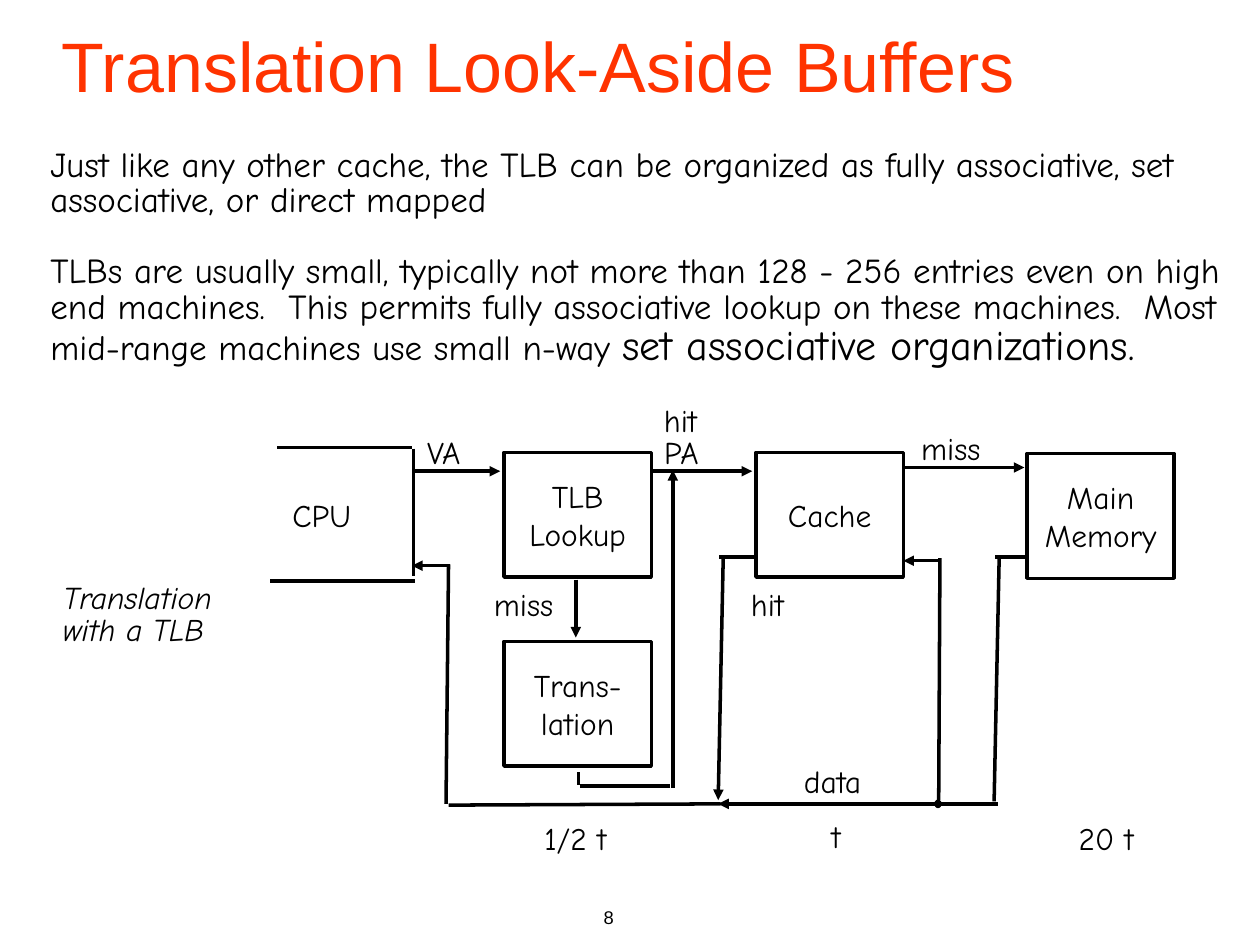
from lxml import etree
from pptx import Presentation
from pptx.dml.color import RGBColor
from pptx.enum.shapes import MSO_CONNECTOR, MSO_SHAPE
from pptx.enum.text import MSO_ANCHOR, MSO_AUTO_SIZE, PP_ALIGN
from pptx.oxml.ns import qn
from pptx.util import Inches, Pt

STRAIGHT = MSO_CONNECTOR.STRAIGHT
RECT, OVAL = MSO_SHAPE.RECTANGLE, MSO_SHAPE.OVAL
LEFT, CENTER, RIGHT = PP_ALIGN.LEFT, PP_ALIGN.CENTER, PP_ALIGN.RIGHT
TOP, MIDDLE = MSO_ANCHOR.TOP, MSO_ANCHOR.MIDDLE
BLACK, RED, PALE = "000000", "FF3300", "E1F4FF"
HEAD_FONT, BODY_FONT = "Arial", "Comic Neue"
LINE_W = 2
BOX_W, BOX_H = 1.17, 0.99

# Content
TITLE = "Translation Look-Aside Buffers"
PAGE = "8"
# Each paragraph is a list of (text, size) runs
BODY = [
    [("Just like any other cache, the TLB can be organized as fully "
      "associative, set associative, or direct mapped", 20)],
    [("TLBs are usually small, typically not more than 128 - 256 entries even "
      "on high end machines.  This permits fully associative lookup on these "
      "machines.  Most mid-range machines use small n-way ", 20),
     ("set associative organizations.", 24)],
]
# Block lines, left, top
BLOCKS = [
    (["TLB", "Lookup"], 4, 3.59),
    (["Cache"], 6, 3.59),
    (["Main", "Memory"], 8.15, 3.6),
    (["Trans-", "lation"], 4, 5.09),
]
# Label, left, top, width
LABELS = [
    ("CPU", 2.25, 3.95, 0.61),
    ("VA", 3.32, 3.45, 0.49),
    ("hit", 5.2, 3.2, 0.47),
    ("PA", 5.2, 3.45, 0.45),
    ("miss", 7.24, 3.42, 0.65),
    ("miss", 3.85, 4.66, 0.65),
    ("hit", 5.89, 4.66, 0.47),
    ("data", 6.31, 6.06, 0.68),
    ("1/2 t", 4.25, 6.52, 0.8),
    ("t", 6.53, 6.5, 0.26),
    ("20 t", 8.49, 6.52, 0.67),
]
CAPTION = ["Translation", "with a TLB"]
# Start x, y, end x, y
LINES = [
    (2.2, 3.55, 3.27, 3.55), (3.28, 3.56, 3.28, 4.57), (3.29, 4.61, 2.14, 4.61),  # CPU
    (8.15, 4.42, 7.9, 4.42), (7.93, 4.43, 7.89, 6.36),  # memory to data bus
    (5.72, 6.38, 3.56, 6.39), (3.54, 6.38, 3.56, 4.48),  # data bus to CPU
    (7.45, 6.35, 7.46, 4.43), (6, 4.42, 5.71, 4.42),  # cache and data bus
    (4.59, 6.13, 4.59, 6.23), (4.6, 6.24, 5.32, 6.24),  # below translation
]
ARROWS = [
    (3.29, 3.74, 3.97, 3.74), (5.17, 3.74, 5.97, 3.74), (7.18, 3.71, 8.13, 3.71),
    (3.57, 4.49, 3.27, 4.49), (7.47, 4.45, 7.17, 4.45), (5.74, 4.43, 5.7, 6.35),
    (4.57, 4.6, 4.57, 5.06), (5.34, 6.25, 5.34, 3.73), (7.92, 6.38, 5.7, 6.38),
]


def rgb(value):
    return RGBColor.from_string(value)


def set_frame(tf, x_inset=0.1, y_inset=0.05, anchor=TOP, wrap=False):
    tf.margin_left = tf.margin_right = Inches(x_inset)
    tf.margin_top = tf.margin_bottom = Inches(y_inset)
    tf.vertical_anchor = anchor
    tf.word_wrap = wrap
    tf.auto_size = MSO_AUTO_SIZE.NONE


def write(tf, lines, size=18, name=BODY_FONT, color=BLACK, align=LEFT, spacing=None):
    for i, text in enumerate(lines):
        p = tf.paragraphs[0] if i == 0 else tf.add_paragraph()
        p.text = text
        p.alignment = align
        p.line_spacing = spacing
        p.font.size, p.font.name = Pt(size), name
        p.font.color.rgb = rgb(color)


def text_box(left, top, width, height, **frame):
    sp = slide.shapes.add_textbox(*map(Inches, (left, top, width, height)))
    set_frame(sp.text_frame, **frame)
    return sp.text_frame


def label(lines, left, top, width, height=0.31):
    tf = text_box(left, top, width, height, x_inset=0.07, y_inset=0.03)
    write(tf, lines, spacing=0.85)
    return tf


def outlined(kind, left, top, width, height):
    sp = slide.shapes.add_shape(kind, *map(Inches, (left, top, width, height)))
    sp.shadow.inherit = False
    sp.line.color.rgb = rgb(BLACK)
    sp.line.width = Pt(LINE_W)
    return sp


def connect(ends, arrow=False):
    s = slide.shapes.add_connector(STRAIGHT, *map(Inches, ends))
    s.line.color.rgb = rgb(BLACK)
    s.line.width = Pt(LINE_W)
    if arrow:
        etree.SubElement(s.line._get_or_add_ln(), qn("a:tailEnd"), type="triangle")
    etree.SubElement(s._element.spPr, qn("a:effectLst"))


prs = Presentation()
prs.slide_width, prs.slide_height = Inches(10), Inches(7.5)
slide = prs.slides.add_slide(prs.slide_layouts[5])

# Title and page number
title = slide.shapes.title
title.left, title.top, title.width, title.height = map(Inches, (0.39, 0, 9.28, 1.02))
set_frame(title.text_frame, anchor=MIDDLE, wrap=True)
write(title.text_frame, [TITLE], 40, HEAD_FONT, RED)
write(text_box(2.89, 7.14, 2.08, 0.36, wrap=True), [PAGE], 10.5, HEAD_FONT, align=RIGHT)

# Body text
tf = text_box(0.33, 1.15, 9.67, 2.17, x_inset=0.07, y_inset=0.03, wrap=True)
for i, runs in enumerate(BODY):
    p = tf.paragraphs[0] if i == 0 else tf.add_paragraph()
    p.line_spacing = 0.85
    if i:
        p.space_before = Pt(20)
    p.font.name = BODY_FONT
    p.font.color.rgb = rgb(BLACK)
    for text, size in runs:
        r = p.add_run()
        r.text = text
        r.font.size = Pt(size)

# Diagram blocks
for lines, left, top in BLOCKS:
    sp = outlined(RECT, left, top, BOX_W, BOX_H)
    sp.fill.background()
    set_frame(sp.text_frame, anchor=MIDDLE)
    write(sp.text_frame, lines, align=CENTER)

# Wiring and junction dot
for ends in LINES:
    connect(ends)
for ends in ARROWS:
    connect(ends, arrow=True)
dot = outlined(OVAL, 7.43, 6.36, 0.03, 0.04)
dot.fill.solid()
dot.fill.fore_color.rgb = rgb(PALE)

# Labels and caption
for text, left, top, width in LABELS:
    label([text], left, top, width)
for p in label(CAPTION, 0.43, 4.6, 1.48, 0.57).paragraphs:
    p.font.italic = True

prs.save("out.pptx")
